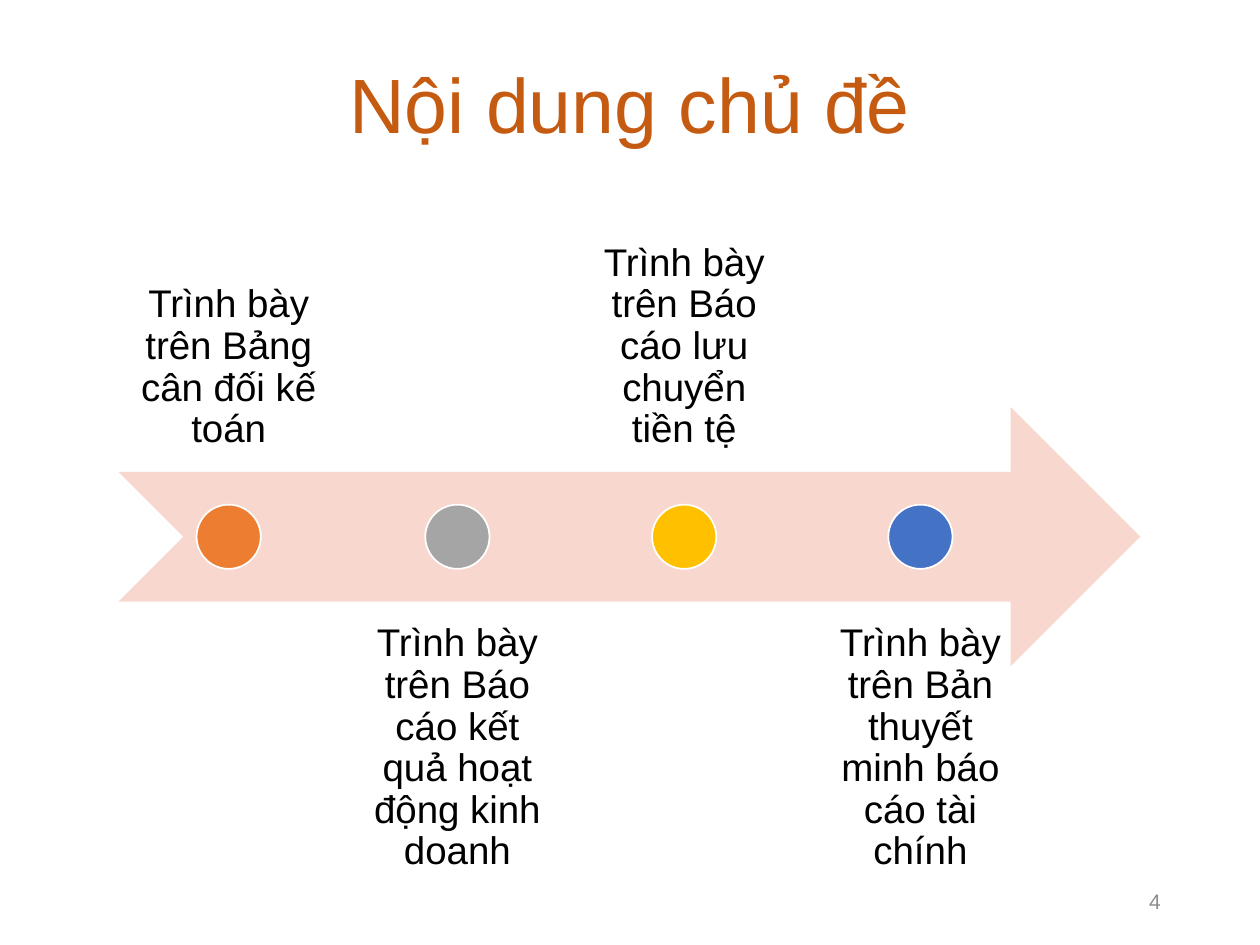
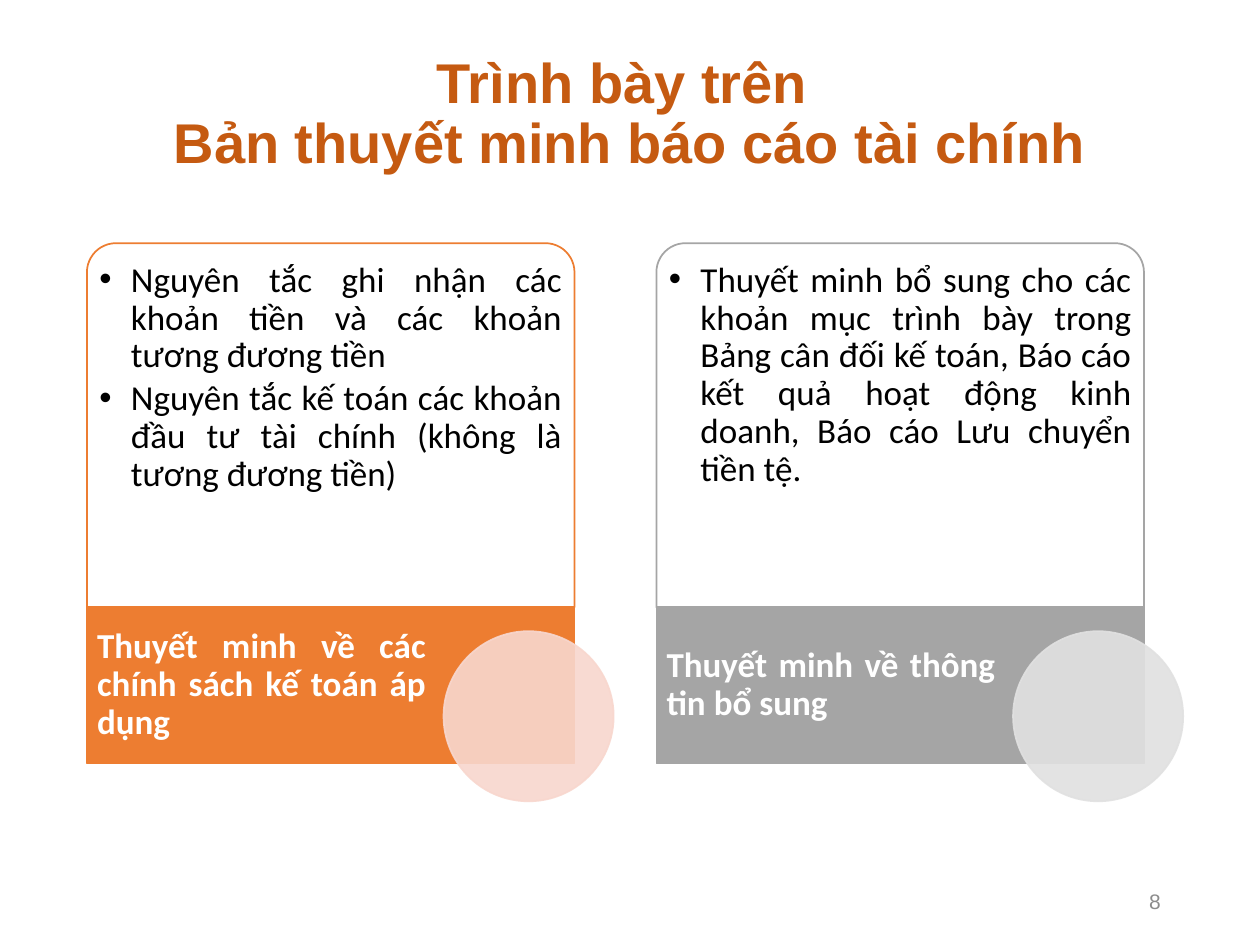
from dataclasses import dataclass
from typing import Any, NamedTuple

from lxml.etree import SubElement
from pptx import Presentation
from pptx.dml.color import RGBColor
from pptx.enum.shapes import MSO_SHAPE
from pptx.enum.text import MSO_ANCHOR, PP_ALIGN
from pptx.oxml.ns import qn
from pptx.util import Inches, Pt


@dataclass(frozen=True)
class Theme:
    heading_font: str = "Arial"
    body_font: str = "Calibri"
    title: str = "C55A11"
    text: str = "000000"
    white: str = "FFFFFF"
    footer: str = "8C8C8C"
    orange: str = "ED7D31"
    gray: str = "A5A5A5"
    gold: str = "FFC000"
    blue: str = "4472C4"
    pale_orange: str = "F8D7CE"
    pale_gray: str = "E1E1E1"
    title_size: int = 44
    long_title_size: int = 32
    step_size: int = 22
    card_size: int = 20
    footer_size: int = 12
    line_spacing: float = 0.9
    line_width: float = 1
    opacity: int = 90


THEME = Theme()


class Box(NamedTuple):
    left: float
    top: float
    width: float
    height: float

    def lengths(self) -> tuple:
        return tuple(Inches(value) for value in self)


class Insets(NamedTuple):
    left: float = 0.1
    top: float = 0.05
    right: float = 0.1
    bottom: float = 0.05


class TextStyle(NamedTuple):
    size: int
    color: str
    font: str = THEME.heading_font
    bold: bool = False
    align: PP_ALIGN = PP_ALIGN.CENTER
    anchor: MSO_ANCHOR = MSO_ANCHOR.MIDDLE
    insets: Insets = Insets()
    line_spacing: float = THEME.line_spacing
    space_after: float = 0
    bullet: str = ""


class Step(NamedTuple):
    text: str
    width: float
    color: str


class Card(NamedTuple):
    heading: str
    points: tuple[str, ...]
    color: str
    pale_color: str


STEPS = (
    Step("Trình bày trên Bảng cân đối kế toán", 1.75, THEME.orange),
    Step("Trình bày trên Báo cáo kết quả hoạt động kinh doanh", 1.72, THEME.gray),
    Step("Trình bày trên Báo cáo lưu chuyển tiền tệ", 1.72, THEME.gold),
    Step("Trình bày trên Bản thuyết minh báo cáo tài chính", 1.87, THEME.blue),
)

CARDS = (
    Card(
        "Thuyết minh về các chính sách kế toán áp dụng",
        (
            "Nguyên tắc ghi nhận các khoản tiền và các khoản tương đương tiền",
            "Nguyên tắc kế toán các khoản đầu tư tài chính (không là tương đương tiền)",
        ),
        THEME.orange,
        THEME.pale_orange,
    ),
    Card(
        "Thuyết minh về thông tin bổ sung",
        (
            "Thuyết minh bổ sung cho các khoản mục trình bày trong Bảng cân đối kế toán, "
            "Báo cáo kết quả hoạt động kinh doanh, Báo cáo Lưu chuyển tiền tệ.",
        ),
        THEME.gray,
        THEME.pale_gray,
    ),
)

STEP_INSETS = Insets(0.17, 0.17, 0.17, 0.17)
STEP_ABOVE = TextStyle(THEME.step_size, THEME.text, anchor=MSO_ANCHOR.BOTTOM, insets=STEP_INSETS)
STEP_BELOW = STEP_ABOVE._replace(anchor=MSO_ANCHOR.TOP)
CARD_POINTS = TextStyle(
    THEME.card_size, THEME.text, THEME.body_font, align=PP_ALIGN.JUSTIFY,
    anchor=MSO_ANCHOR.TOP, insets=Insets(0.03, 0.08, 0.03, 0.03), space_after=3, bullet="•",
)
CARD_HEADING = TextStyle(
    THEME.card_size, THEME.white, THEME.body_font, bold=True,
    align=PP_ALIGN.JUSTIFY, insets=Insets(0.08, 0, 0.03, 0),
)
SHORT_TITLE = TextStyle(THEME.title_size, THEME.title)
LONG_TITLE = TextStyle(THEME.long_title_size, THEME.title, bold=True)
PAGE_NUMBER = TextStyle(THEME.footer_size, THEME.footer, align=PP_ALIGN.RIGHT, line_spacing=1.0)


def apply_format(target: Any, values: dict[str, Any]) -> None:
    for name, value in values.items():
        setattr(target, name, value)


def add_bullet(paragraph: Any, character: str) -> None:
    properties = paragraph._p.get_or_add_pPr()
    properties.set("marL", str(Inches(0.25)))
    properties.set("indent", str(-Inches(0.25)))
    SubElement(properties, qn("a:buFont"), typeface=THEME.heading_font)
    SubElement(properties, qn("a:buChar"), char=character)


def add_text(slide: Any, box: Box, paragraphs: tuple[str, ...], style: TextStyle) -> None:
    frame = slide.shapes.add_textbox(*box.lengths()).text_frame
    apply_format(frame, {"word_wrap": True, "vertical_anchor": style.anchor})
    apply_format(frame, {
        f"margin_{side}": Inches(value) for side, value in style.insets._asdict().items()
    })
    for index, text in enumerate(paragraphs):
        paragraph = frame.add_paragraph() if index else frame.paragraphs[0]
        if style.bullet:
            add_bullet(paragraph, style.bullet)
        apply_format(paragraph, {
            "alignment": style.align,
            "line_spacing": style.line_spacing,
            "space_after": Pt(style.space_after),
        })
        for line_index, line in enumerate(text.split("\n")):
            if line_index:
                paragraph.add_line_break()
            run = paragraph.add_run()
            run.text = line
            apply_format(run.font, {
                "name": style.font, "size": Pt(style.size), "bold": style.bold,
            })
            run.font.color.rgb = RGBColor.from_string(style.color)


def add_figure(
    slide: Any, kind: MSO_SHAPE, box: Box, fill: str, line: str = "",
    fill_opacity: int = 100, line_opacity: int = 100,
) -> Any:
    shape = slide.shapes.add_shape(kind, *box.lengths())
    shape.shadow.inherit = False
    shape.fill.solid()
    shape.fill.fore_color.rgb = RGBColor.from_string(fill)
    if line:
        shape.line.color.rgb = RGBColor.from_string(line)
        shape.line.width = Pt(THEME.line_width)
    else:
        shape.line.fill.background()
    colors = shape._element.spPr.iter(qn("a:srgbClr"))
    for color, opacity in zip(colors, (fill_opacity, line_opacity)):
        if opacity < 100:
            SubElement(color, qn("a:alpha"), val=str(opacity * 1000))
    return shape


def add_base_slide(
    presentation: Any, title: str, title_box: Box, title_style: TextStyle, number: int,
) -> Any:
    slide = presentation.slides.add_slide(presentation.slide_layouts[6])
    add_text(slide, title_box, (title,), title_style)
    add_text(slide, Box(7.06, 6.95, 2.25, 0.4), (str(number),), PAGE_NUMBER)
    return slide


def draw_timeline(slide: Any) -> None:
    arrow = Box(0.94, 3.23, 8.11, 2.06)
    dot_size = 0.51
    gap = 0.08
    add_figure(slide, MSO_SHAPE.NOTCHED_RIGHT_ARROW, arrow, THEME.pale_orange)
    left = arrow.left
    for index, step in enumerate(STEPS):
        top, style = (4.78, STEP_BELOW) if index % 2 else (1.69, STEP_ABOVE)
        add_text(slide, Box(left, top, step.width, arrow.height), (step.text,), style)
        dot = Box(
            left + (step.width - dot_size) / 2,
            arrow.top + (arrow.height - dot_size) / 2,
            dot_size, dot_size,
        )
        add_figure(slide, MSO_SHAPE.OVAL, dot, step.color, THEME.white)
        left += step.width + gap


def draw_card(slide: Any, card: Card, left: float) -> None:
    body = Box(left, 1.93, 3.87, 2.89)
    band = Box(left, body.top + body.height, body.width, 1.24)
    padding = 0.07
    panel = add_figure(
        slide, MSO_SHAPE.ROUND_2_SAME_RECTANGLE, body, THEME.white, card.color,
        fill_opacity=THEME.opacity,
    )
    panel.adjustments[0] = 0.08
    panel.adjustments[1] = 0
    points_box = Box(
        left + padding, body.top + padding, body.width - 2 * padding, body.height - padding,
    )
    add_text(slide, points_box, card.points, CARD_POINTS)
    add_figure(slide, MSO_SHAPE.RECTANGLE, band, card.color, card.color)
    add_text(slide, band._replace(width=2.72), (card.heading,), CARD_HEADING)
    add_figure(
        slide, MSO_SHAPE.OVAL, Box(left + 2.83, 5.01, 1.35, 1.35),
        card.pale_color, card.pale_color, THEME.opacity, THEME.opacity,
    )


def main() -> None:
    presentation = Presentation()
    apply_format(presentation, {"slide_width": Inches(10), "slide_height": Inches(7.5)})

    timeline_slide = add_base_slide(
        presentation, "Nội dung chủ đề", Box(0.69, 0.4, 8.62, 0.93), SHORT_TITLE, 4,
    )
    draw_timeline(timeline_slide)

    notes_slide = add_base_slide(
        presentation, "Trình bày trên \nBản thuyết minh báo cáo tài chính",
        Box(0.27, 0.35, 9.46, 1.13), LONG_TITLE, 8,
    )
    for index, card in enumerate(CARDS):
        draw_card(notes_slide, card, 0.69 + index * 4.52)

    presentation.save("out.pptx")


if __name__ == "__main__":
    main()
